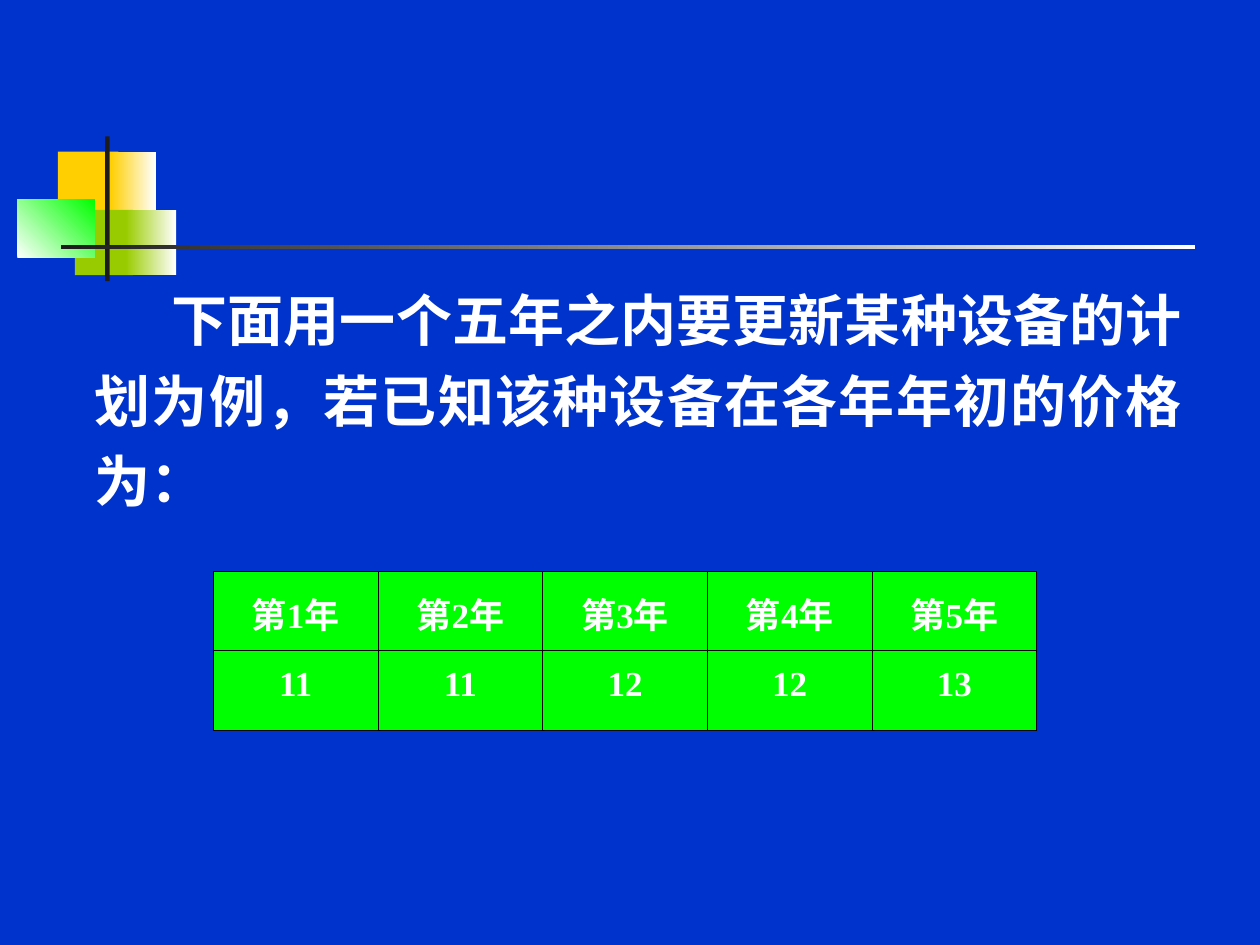
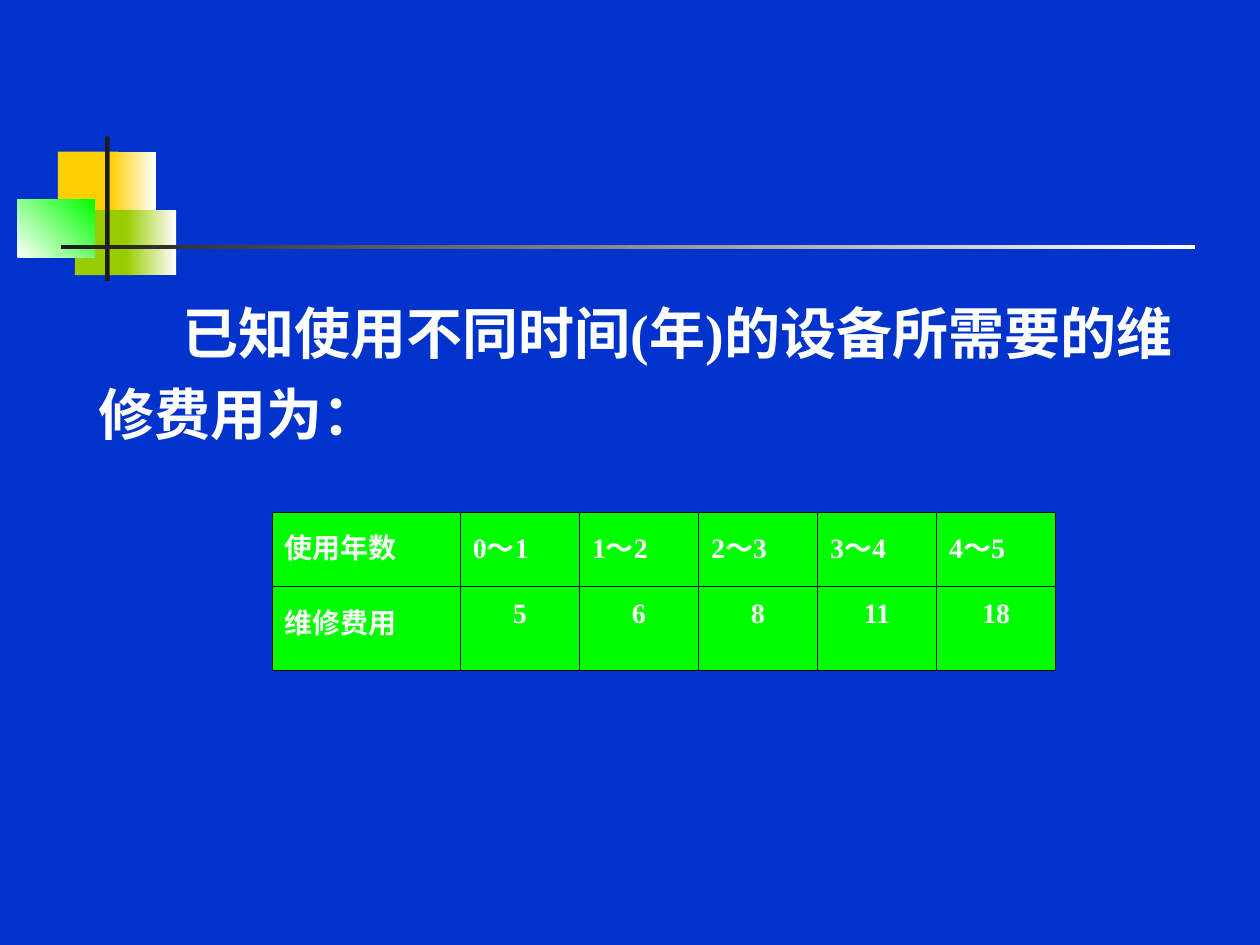
from lxml import etree
from pptx import Presentation
from pptx import util as u
from pptx.dml.color import RGBColor
from pptx.enum import shapes, text
from pptx.oxml import ns

COLORS = {
    "background": "0033CC",
    "white": "FFFFFF",
    "gold": "FFCF01",
    "olive": "99CC00",
    "green": "00FF00",
    "dark": "1C1C1C",
    "border": "000000",
}

MOTIF = [
    ((1.17, 3.06, 1.22, 1.32), ("gold",), 0),
    ((2.23, 3.06, 0.91, 1.32), ("gold", "white"), 0),
    ((1.51, 4.23, 1.17, 1.32), ("olive",), 0),
    ((2.54, 4.23, 1.01, 1.32), ("olive", "white"), 0),
    ((0.35, 4.02, 1.56, 1.18), ("white", "green"), 45),
    ((2.12, 2.75, 0.09, 2.92), ("dark",), 0),
    ((1.23, 4.94, 22.86, 0.09), ("dark", "white"), 0),
]

CENTER, JUSTIFY = text.PP_ALIGN.CENTER, text.PP_ALIGN.JUSTIFY

SLIDES = [
    {
        "statement": [("下面用一个五年之内要更新某种设备的计划为例，若已知该种设备在各年年初的价格为：", "Roboto")],
        "statement_box": (0.69, 5.36, 23.39, 7.57),
        "margin": 0.97,
        "indent": 1.55,
        "rows": [["第1年", "第2年", "第3年", "第4年", "第5年"],
                 ["11", "11", "12", "12", "13"]],
        "table_corner": (4.3, 11.52),
        "widths": [3.32] * 5,
        "heights": [1.6, 1.6],
        "size": 20,
        "alignments": [[CENTER] * 5, [CENTER] * 5],
    },
    {
        "statement": [("已知使用不同时间", "Arial"), ("(年)", "Times New Roman"),
                      ("的设备所需要的维修费用为：", "Arial")],
        "statement_box": (0.5, 5.63, 23.39, 3.5),
        "margin": 1.23,
        "indent": 1.69,
        "rows": [["使用年数", "0～1", "1～2", "2～3", "3～4", "4～5"],
                 ["维修费用", "5", "6", "8", "11", "18"]],
        "table_corner": (5.49, 10.32),
        "widths": [3.79] + [2.4] * 5,
        "heights": [1.5, 1.7],
        "size": 16,
        "alignments": [[JUSTIFY] * 6, [JUSTIFY] + [CENTER] * 5],
    },
]


def rgb(name):
    return RGBColor.from_string(COLORS[name])


def lengths(values):
    return [u.Cm(value) for value in values]


def style(font, name, size):
    font.name = name
    font.size = u.Pt(size)
    font.bold = True
    font.color.rgb = rgb("white")


def draw_motif(slide):
    for place, fills, angle in MOTIF:
        block = slide.shapes.add_shape(shapes.MSO_SHAPE.RECTANGLE, *lengths(place))
        block.shadow.inherit = False
        block.line.fill.background()
        if len(fills) == 1:
            block.fill.solid()
            block.fill.fore_color.rgb = rgb(fills[0])
        else:
            block.fill.gradient()
            block.fill.gradient_angle = angle
            for stop, fill in zip(block.fill.gradient_stops, fills):
                stop.color.rgb = rgb(fill)


def write_statement(slide, content):
    frame = slide.shapes.add_textbox(*lengths(content["statement_box"])).text_frame
    frame.word_wrap = True
    paragraph = frame.paragraphs[0]
    paragraph.alignment = JUSTIFY
    paragraph.line_spacing = 1.2
    properties = paragraph._p.get_or_add_pPr()
    properties.set("marL", str(u.Cm(content["margin"])))
    properties.set("indent", str(u.Cm(content["indent"])))
    for words, font_name in content["statement"]:
        run = paragraph.add_run()
        run.text = words
        style(run.font, font_name, 32)


def add_borders(cell):
    properties = cell._tc.get_or_add_tcPr()
    for position, side in enumerate(("lnL", "lnR", "lnT", "lnB")):
        line = etree.Element(ns.qn("a:" + side), w=str(u.Pt(0.45)))
        fill = etree.SubElement(line, ns.qn("a:solidFill"))
        etree.SubElement(fill, ns.qn("a:srgbClr"), val=COLORS["border"])
        properties.insert(position, line)


def build_table(slide, content):
    rows, widths, heights = content["rows"], content["widths"], content["heights"]
    place = (*content["table_corner"], sum(widths), sum(heights))
    table = slide.shapes.add_table(len(rows), len(widths), *lengths(place)).table
    table.first_row = table.horz_banding = False
    for column, width in zip(table.columns, lengths(widths)):
        column.width = width
    for row, height in zip(table.rows, lengths(heights)):
        row.height = height
    for r, entries in enumerate(rows):
        for c, entry in enumerate(entries):
            cell = table.cell(r, c)
            cell.fill.solid()
            cell.fill.fore_color.rgb = rgb("green")
            add_borders(cell)
            paragraph = cell.text_frame.paragraphs[0]
            paragraph.text = entry
            paragraph.alignment = content["alignments"][r][c]
            paragraph.line_spacing = 1.2
            style(paragraph.runs[0].font, "Times New Roman", content["size"])


def main():
    deck = Presentation()
    deck.slide_width, deck.slide_height = lengths((25.4, 19.05))
    backdrop = deck.slide_master.background.fill
    backdrop.solid()
    backdrop.fore_color.rgb = rgb("background")
    blank = deck.slide_layouts.get_by_name("Blank")
    for content in SLIDES:
        slide = deck.slides.add_slide(blank)
        draw_motif(slide)
        write_statement(slide, content)
        build_table(slide, content)
    deck.save("out.pptx")


if __name__ == "__main__":
    main()
